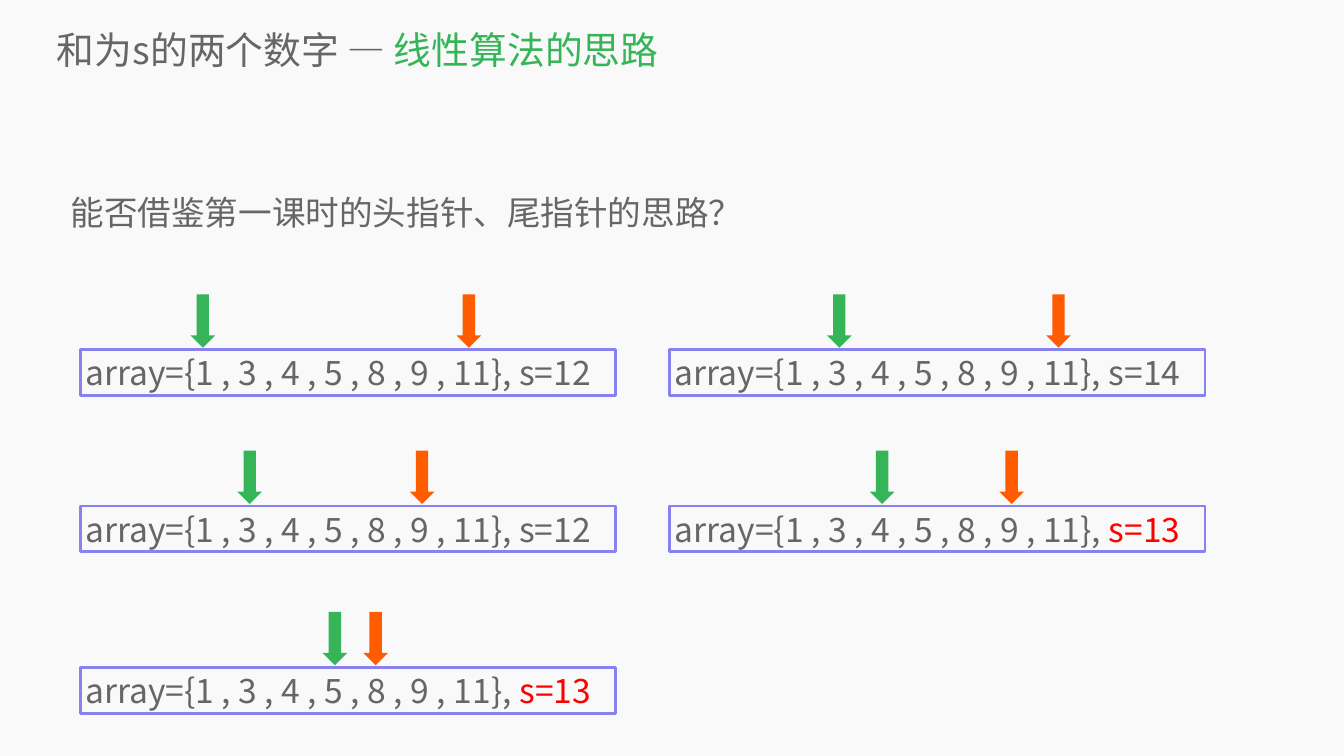
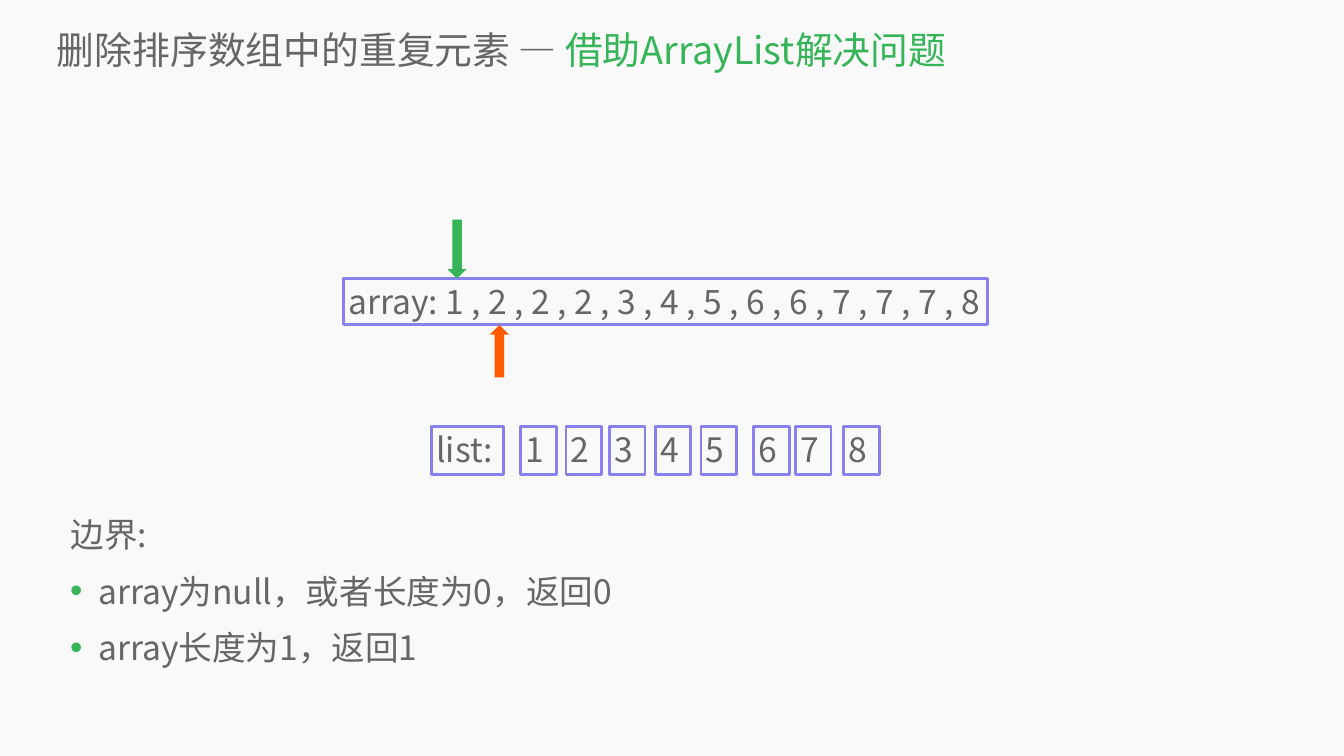
from lxml import etree
from pptx import Presentation
from pptx.dml.color import RGBColor
from pptx.enum import shapes, text
from pptx.oxml import ns
from pptx.util import Inches, Pt

FONT = "Noto Sans CJK SC"
BACKGROUND, GREY, GREEN = "F9F9F9", "666666", "35B558"
ORANGE, PURPLE, RED = "FF5C00", "8881F0", "FF0000"
DOWN = shapes.MSO_SHAPE.DOWN_ARROW
UP = shapes.MSO_SHAPE.UP_ARROW

# Offset of each pointer from the left side of its array box, by array value
POINTER_OFFSET = {1: 2.19, 3: 3.12, 4: 3.97, 5: 4.81, 8: 5.62, 9: 6.54, 11: 7.47}

# Left, top, head value, tail value, target sum, colour of the sum
STEPS = [
    (1.59, 6.94, 1, 11, "s=12", GREY),
    (13.29, 6.94, 3, 11, "s=14", GREY),
    (1.59, 10.04, 3, 9, "s=12", GREY),
    (1.59, 13.24, 5, 8, "s=13", RED),
    (13.29, 10.04, 4, 9, "s=13", RED),
]
LIST_LEFTS = [10.33, 11.23, 12.09, 13, 13.91, 14.95, 15.78, 16.74]


def color(value):
    return RGBColor.from_string(value)


def box(left, top, width, height):
    return [Inches(length) for length in (left, top, width, height)]


def add_run(paragraph, content, size=48, fill=GREY):
    run = paragraph.add_run()
    run.text = content
    run.font.size = Pt(size)
    run.font.name = FONT
    run.font.color.rgb = color(fill)
    east_asian = etree.SubElement(run.font._element, ns.qn("a:ea"))
    east_asian.set("typeface", FONT)


def clear_margins(frame):
    frame.margin_left = frame.margin_right = 0
    frame.margin_top = frame.margin_bottom = 0
    frame.word_wrap = True


def add_slide(presentation, topic, focus):
    """Add a slide with a grey topic and a green focus in its title."""
    slide = presentation.slides.add_slide(presentation.slide_layouts[5])
    title = slide.shapes.title
    title.left, title.top, title.width, title.height = box(1.13, 0.47, 25.16, 1.02)
    frame = title.text_frame
    clear_margins(frame)
    frame.auto_size = text.MSO_AUTO_SIZE.NONE
    frame.vertical_anchor = text.MSO_ANCHOR.MIDDLE
    paragraph = frame.paragraphs[0]
    paragraph.alignment = text.PP_ALIGN.LEFT
    add_run(paragraph, topic + " — ", 54)
    add_run(paragraph, focus, 54, GREEN)
    return slide


def format_indent(paragraph, bulleted):
    properties = paragraph._p.get_or_add_pPr()
    properties.set("marL", str(Inches(0.76 if bulleted else 0.21)))
    properties.set("indent", str(Inches(-0.56 if bulleted else 0)))
    if bulleted:
        bullet_color = etree.SubElement(properties, ns.qn("a:buClr"))
        etree.SubElement(bullet_color, ns.qn("a:srgbClr")).set("val", GREEN)
        etree.SubElement(properties, ns.qn("a:buSzPct")).set("val", "105000")
        etree.SubElement(properties, ns.qn("a:buFont")).set("typeface", "Arial")
        etree.SubElement(properties, ns.qn("a:buChar")).set("char", "•")


def add_body(slide, top, height, lead, bullets=()):
    """Add a lead line followed by bulleted lines."""
    frame = slide.shapes.add_textbox(*box(1.19, top, 24.28, height)).text_frame
    clear_margins(frame)
    for index, line in enumerate([lead, *bullets]):
        paragraph = frame.add_paragraph() if index else frame.paragraphs[0]
        paragraph.line_spacing = 1.4
        format_indent(paragraph, bulleted=index > 0)
        add_run(paragraph, line)


def add_box(parent, left, top, width, height, *runs):
    """Add an outlined box; each run is a pair of text and colour."""
    shape = parent.add_shape(shapes.MSO_SHAPE.RECTANGLE, *box(left, top, width, height))
    shape.shadow.inherit = False
    shape.fill.background()
    shape.line.color.rgb = color(PURPLE)
    shape.line.width = Pt(4)
    frame = shape.text_frame
    frame.word_wrap = True
    frame.auto_size = text.MSO_AUTO_SIZE.SHAPE_TO_FIT_TEXT
    frame.vertical_anchor = text.MSO_ANCHOR.TOP
    paragraph = frame.paragraphs[0]
    paragraph.alignment = text.PP_ALIGN.LEFT
    for content, fill in runs:
        add_run(paragraph, content, fill=fill)


def add_pointer(parent, kind, left, top, width, height, fill):
    shape = parent.add_shape(kind, *box(left, top, width, height))
    shape.shadow.inherit = False
    shape.fill.solid()
    shape.fill.fore_color.rgb = color(fill)
    shape.line.fill.background()


def add_step(slide, left, top, head, tail, target, target_color):
    """Group an array box with its head and tail pointers."""
    group = slide.shapes.add_group_shape().shapes
    add_box(group, left, top, 10.62, 0.91,
            ("array={1 , 3 , 4 , 5 , 8 , 9 , 11}, ", GREY), (target, target_color))
    for value, fill in ((tail, ORANGE), (head, GREEN)):
        add_pointer(group, DOWN, left + POINTER_OFFSET[value], top - 1.1, 0.49, 1.06, fill)


def build_two_sum(presentation):
    slide = add_slide(presentation, "和为s的两个数字", "线性算法的思路")
    add_body(slide, 3.49, 1.2, "能否借鉴第一课时的头指针、尾指针的思路？")
    for step in STEPS:
        add_step(slide, *step)


def build_remove_duplicates(presentation):
    slide = add_slide(presentation, "删除排序数组中的重复元素", "借助ArrayList解决问题")
    add_body(slide, 9.88, 3.6, "边界:",
             ["array为null，或者长度为0，返回0", "array长度为1，返回1"])

    # Sorted array with its two pointers
    add_box(slide.shapes, 6.81, 5.53, 12.78, 0.91,
            ("array: 1 , 2 , 2 , 2 , 3 , 4 , 5 , 6 , 6 , 7 , 7 , 7 , 8", GREY))
    add_pointer(slide.shapes, DOWN, 8.88, 4.36, 0.38, 1.17, GREEN)
    add_pointer(slide.shapes, UP, 9.72, 6.45, 0.38, 1.04, ORANGE)

    # Resulting list
    add_box(slide.shapes, 8.56, 8.47, 1.44, 0.94, ("list:", GREY))
    for number, left in enumerate(LIST_LEFTS, start=1):
        add_box(slide.shapes, left, 8.47, 0.71, 0.94, (str(number), GREY))


def main():
    presentation = Presentation()
    presentation.slide_width = Inches(26.67)
    presentation.slide_height = Inches(15)
    background = presentation.slide_master.background.fill
    background.solid()
    background.fore_color.rgb = color(BACKGROUND)
    build_two_sum(presentation)
    build_remove_duplicates(presentation)
    presentation.save("out.pptx")


if __name__ == "__main__":
    main()
